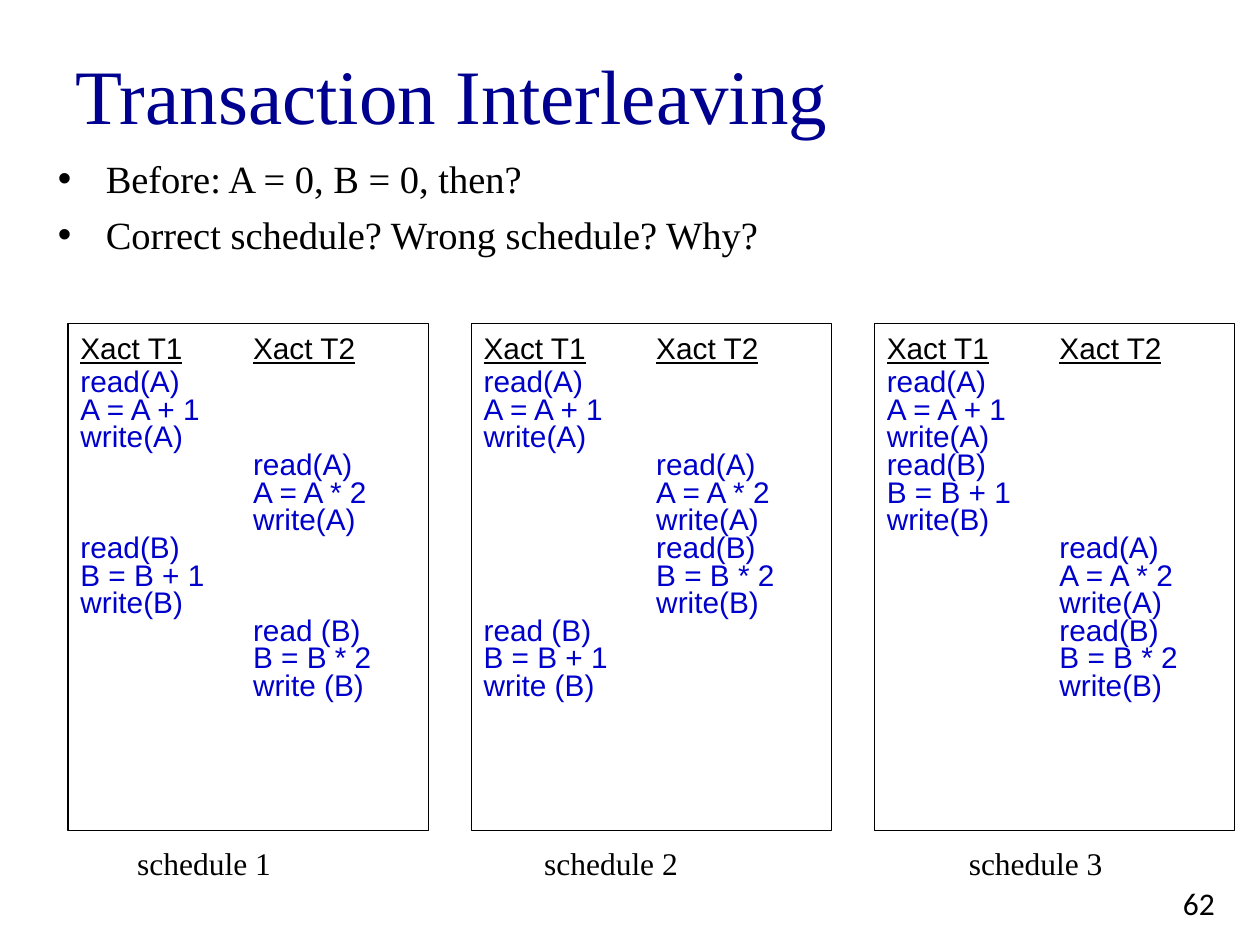
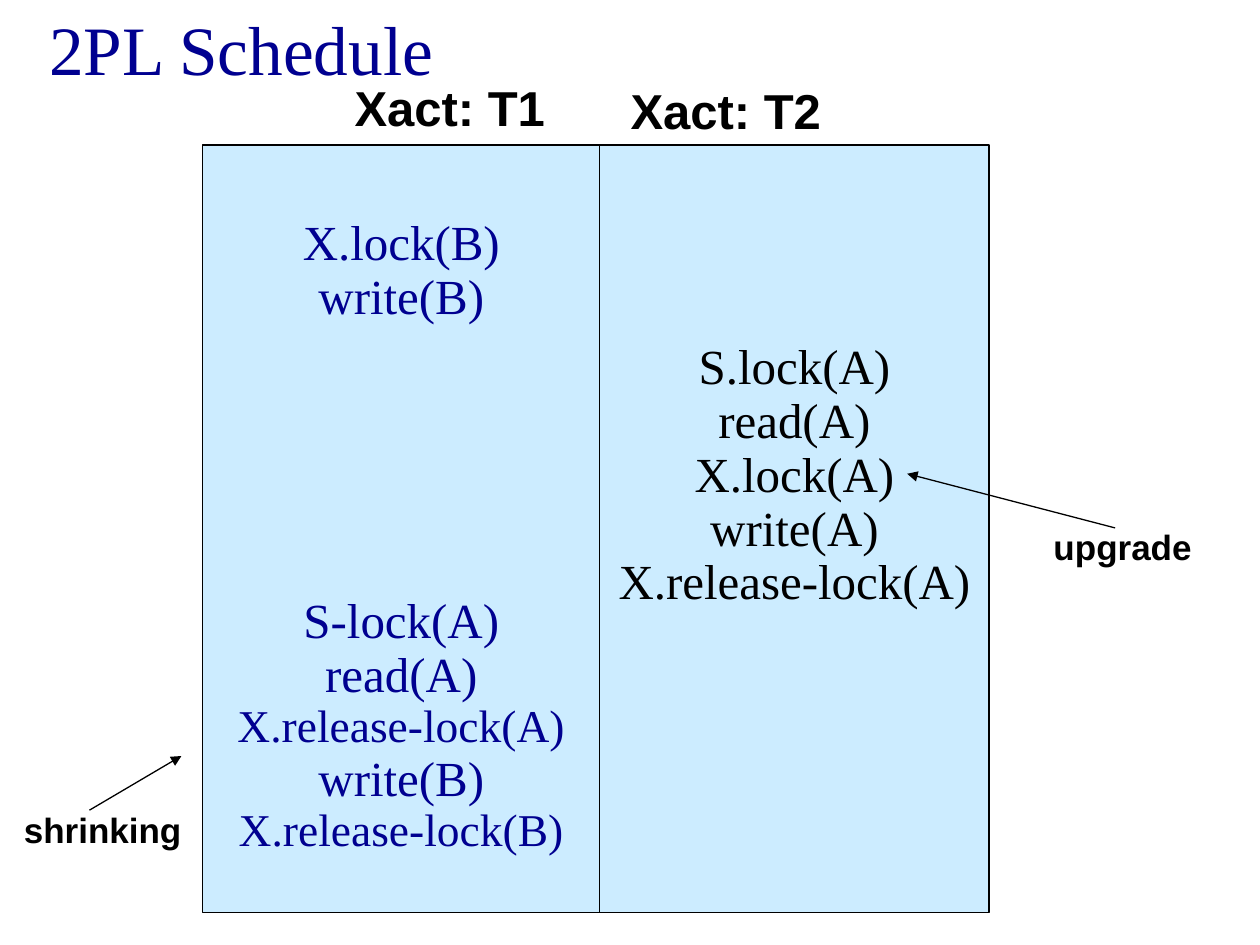
import dataclasses

import pptx
import pptx.dml.color
import pptx.enum.shapes
import pptx.enum.text
import pptx.oxml
import pptx.oxml.ns
import pptx.util

PX = 9144  # EMU per px, 100 px to the inch
Pt = pptx.util.Pt
ALIGN = pptx.enum.text.PP_ALIGN
ANCHOR = pptx.enum.text.MSO_ANCHOR


@dataclasses.dataclass(frozen=True)
class Theme:
    black: str = "000000"
    navy: str = "000090"
    blue: str = "0000CC"
    pale: str = "CCECFF"
    serif: str = "Times New Roman"
    sans: str = "Arial"
    plain: str = "Calibri"
    title: float = 44
    small_title: float = 39.6
    step: float = 28
    tight: float = 26
    body: float = 22
    note: float = 20
    label: float = 18
    code: float = 17
    line: float = 0.75


THEME = Theme()

# Each block: column, variable, gap before the bracket
SCHEDULES = [
    [(0, "A", ""), (1, "A", ""), (0, "B", ""), (1, "B", " ")],
    [(0, "A", ""), (1, "A", ""), (1, "B", ""), (0, "B", " ")],
    [(0, "A", ""), (0, "B", ""), (1, "A", ""), (1, "B", "")],
]


def color(code):
    return pptx.dml.color.RGBColor.from_string(code)


def place(item, left, top, width, height):
    item.left, item.top = left * PX, top * PX
    item.width, item.height = width * PX, height * PX


def write(frame, text, par=None, font=THEME.serif, size=THEME.label,
          ink=THEME.black, bold=False, under=False, align=ALIGN.LEFT,
          before=0, pitch=None, hang=0):
    """Add text as a new paragraph, or as a further run of par."""
    if par is None:
        par = frame.paragraphs[-1]
        if par.runs:
            par = frame.add_paragraph()
        par.alignment, par.space_before = align, Pt(before)
        if pitch:
            par.line_spacing = Pt(pitch)
        if hang:
            props = par._p.get_or_add_pPr()
            props.set("marL", str(hang * PX))
            props.set("indent", str(-hang * PX))
    run = par.add_run()
    run.text = text
    run.font.name, run.font.size = font, Pt(size)
    run.font.bold, run.font.underline = bold, under
    run.font.color.rgb = color(ink)
    return par


def title(slide, text, box, **form):
    head = slide.shapes.title
    place(head, *box)
    frame = head.text_frame
    frame.auto_size = pptx.enum.text.MSO_AUTO_SIZE.NONE
    frame.vertical_anchor = ANCHOR.MIDDLE
    write(frame, text, ink=THEME.navy, **form)


def label(slide, text, box, anchor=ANCHOR.TOP, **form):
    frame = slide.shapes.add_textbox(*(n * PX for n in box)).text_frame
    frame.word_wrap = True
    frame.vertical_anchor = anchor
    write(frame, text, **form)


def panel(slide, box, fill=None, inset=5):
    """Draw an outlined box and return its text frame."""
    shape = slide.shapes.add_shape(
        pptx.enum.shapes.MSO_SHAPE.RECTANGLE, *(n * PX for n in box))
    shape.shadow.inherit = False
    if fill:
        shape.fill.solid()
        shape.fill.fore_color.rgb = color(fill)
    else:
        shape.fill.background()
    shape.line.color.rgb = color(THEME.black)
    shape.line.width = Pt(THEME.line)
    frame = shape.text_frame
    frame.word_wrap = True
    frame.vertical_anchor = ANCHOR.TOP
    frame.margin_top = inset * PX
    return frame


def arrow(slide, start, end):
    link = slide.shapes.add_connector(
        pptx.enum.shapes.MSO_CONNECTOR.STRAIGHT,
        *(n * PX for n in start + end))
    link.line.color.rgb = color(THEME.black)
    link.line.width = Pt(THEME.line)
    tail = pptx.oxml.parse_xml(
        f'<a:tailEnd {pptx.oxml.ns.nsdecls("a")} type="triangle"/>')
    link.line._get_or_add_ln().append(tail)
    link._element.spPr.append(pptx.oxml.parse_xml(
        f'<a:effectLst {pptx.oxml.ns.nsdecls("a")}/>'))


def schedule(slide, left, blocks):
    """Draw one box with the steps of both transactions in time order."""
    frame = panel(slide, (left, 257, 286, 402))
    form = dict(font=THEME.sans, size=THEME.code)
    head = write(frame, "Xact T1", under=True, hang=137, **form)
    write(frame, "\t", par=head, **form)
    write(frame, "Xact T2", par=head, under=True, **form)
    before = 3
    for col, var, gap in blocks:
        change = ("+ 1", "* 2")[col]
        for step in (f"read{gap}({var})", f"{var} = {var} {change}",
                     f"write{gap}({var})"):
            write(frame, "\t" * col + step, ink=THEME.blue, hang=137,
                  pitch=15.8, before=before, **form)
            before = 0


def locks(slide, box, inset, groups, ink, gap=0):
    """Draw one lock column; gap is the space in points between groups."""
    frame = panel(slide, box, THEME.pale, inset)
    for index, group in enumerate(groups):
        before = gap if index else 0
        for text, size in group:
            write(frame, text, size=size, ink=ink, align=ALIGN.CENTER,
                  pitch=round(1.1 * size, 1), before=before)
            before = 0


def mixing(deck):
    slide = deck.slides.add_slide(deck.slide_layouts[1])
    title(slide, "Transaction Interleaving", (50, 30, 900, 88),
          size=THEME.title)
    body = slide.placeholders[1]
    place(body, 36, 118, 964, 542)
    body.text_frame.auto_size = pptx.enum.text.MSO_AUTO_SIZE.NONE
    for text in ("Before: A = 0, B = 0, then?",
                 "Correct schedule? Wrong schedule? Why?"):
        write(body.text_frame, text, size=THEME.body, before=5.5, hang=38)
    for index, blocks in enumerate(SCHEDULES):
        schedule(slide, 54 + 320 * index, blocks)
    for number, left in enumerate((99, 422, 759), 1):
        label(slide, f"schedule {number}", (left, 660, 162, 50),
              anchor=ANCHOR.MIDDLE)
    label(slide, "62", (929, 697, 53, 40), font=THEME.plain)


def locking(deck):
    slide = deck.slides.add_slide(deck.slide_layouts[5])
    title(slide, "2PL Schedule", (13, 4, 357, 68),
          size=THEME.small_title, align=ALIGN.CENTER)
    big, tight = THEME.step, THEME.tight
    locks(slide, (161, 115, 315, 609), 57, [
        [("X.lock(B)", big), ("write(B)", big)],
        [("S-lock(A)", big), ("read(A)", big), ("X.release-lock(A)", tight),
         ("write(B)", big), ("X.release-lock(B)", tight)],
    ], THEME.navy, gap=154)
    steps = ("S.lock(A)", "read(A)", "X.lock(A)", "write(A)",
             "X.release-lock(A)")
    locks(slide, (476, 115, 309, 609), 155,
          [[(step, big) for step in steps]], THEME.black)
    for text, box, size in (
            ("Xact: T1", (263, 57, 188, 57), THEME.step),
            ("Xact: T2", (476, 59, 200, 57), THEME.step),
            ("shrinking", (7, 637, 149, 44), THEME.note),
            ("upgrade", (780, 412, 222, 44), THEME.note)):
        label(slide, text, box, font=THEME.sans, size=size, bold=True,
              align=ALIGN.CENTER)
    arrow(slide, (71, 643), (144, 600))
    arrow(slide, (885, 419), (720, 376))


def main():
    deck = pptx.Presentation()
    deck.slide_width, deck.slide_height = 1000 * PX, 750 * PX
    mixing(deck)
    locking(deck)
    deck.save("out.pptx")


if __name__ == "__main__":
    main()
